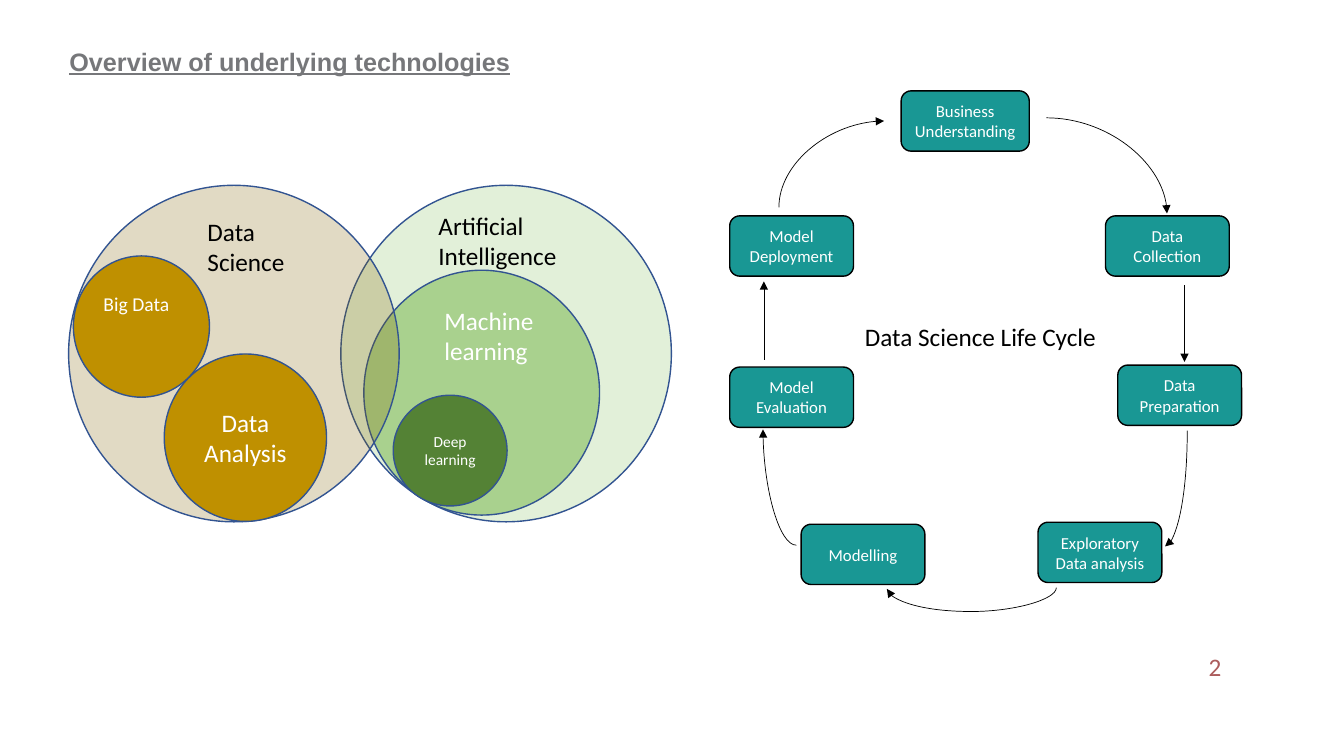
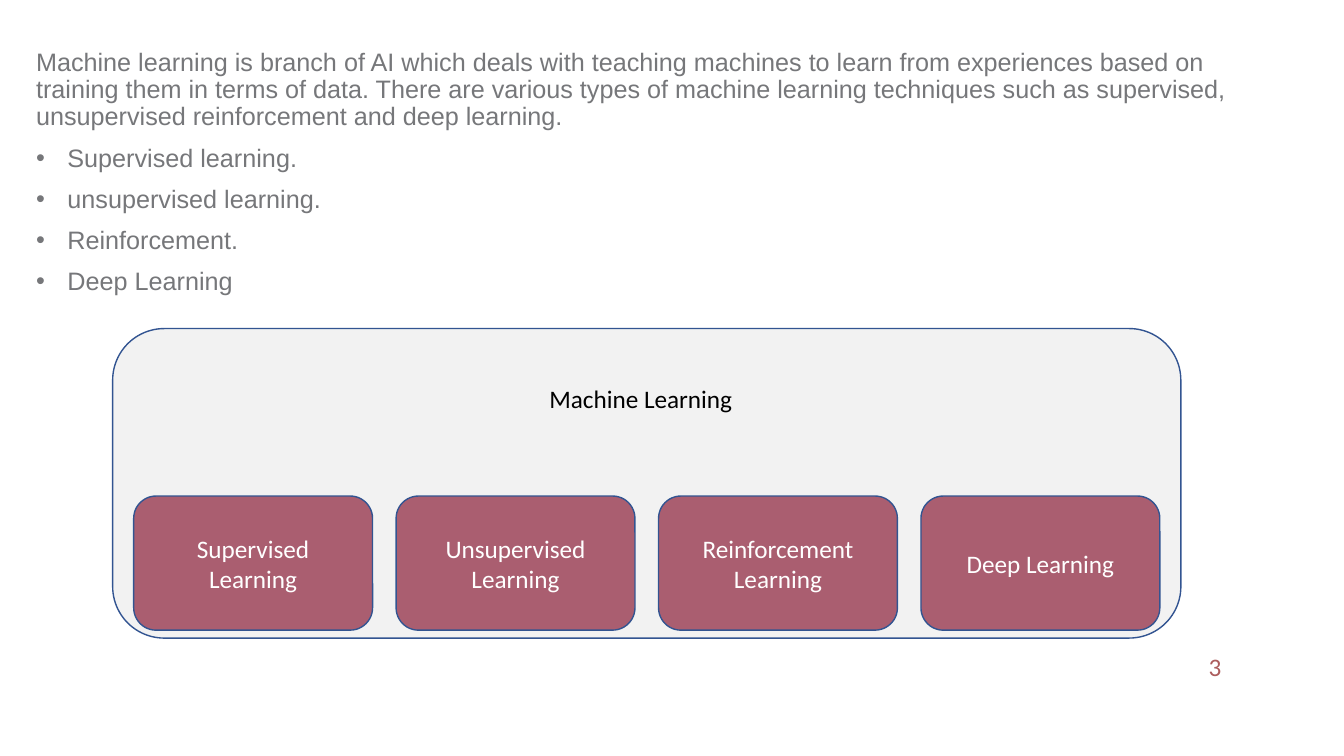
from lxml import etree
from pptx import Presentation
from pptx.dml.color import RGBColor
from pptx.enum.shapes import MSO_CONNECTOR, MSO_SHAPE
from pptx.enum.text import MSO_ANCHOR, PP_ALIGN
from pptx.oxml.ns import qn
from pptx.util import Cm, Pt

ELLIPSE, ROUNDED = MSO_SHAPE.OVAL, MSO_SHAPE.ROUNDED_RECTANGLE
STRAIGHT, CURVE = MSO_CONNECTOR.STRAIGHT, MSO_CONNECTOR.CURVE
LEFT, CENTER = PP_ALIGN.LEFT, PP_ALIGN.CENTER
MIDDLE = MSO_ANCHOR.MIDDLE

COLORS = {
    "grey": "76777A", "black": "000000", "white": "FFFFFF", "outline": "325491",
    "pale_green": "E2F0D9", "green": "A9D18E", "dark_green": "548235",
    "olive": "806000", "gold": "BF9000", "teal": "199794",
    "panel": "F2F2F2", "rose": "AA5E70", "page_number": "AC5C5C",
}
BODY_FONT, LABEL_FONT = "Arial", "Calibri"
BODY_TOP = 1.25


def rgb(name):
    return RGBColor.from_string(COLORS[name])


def format_paragraph(paragraph, size, color, font=LABEL_FONT, align=LEFT):
    paragraph.alignment = align
    for run in paragraph.runs:
        run.font.size = Pt(size)
        run.font.name = font
        run.font.color.rgb = rgb(color)


def add_box(slide, kind, box, fill, line="outline", text="", size=18, opacity=None):
    """Add a filled, outlined shape with centred white text."""
    shape = slide.shapes.add_shape(kind, *map(Cm, box))
    shape.shadow.inherit = False
    shape.fill.solid()
    shape.fill.fore_color.rgb = rgb(fill)
    if opacity:
        color = shape.fill._xPr.find(f"{qn('a:solidFill')}/{qn('a:srgbClr')}")
        etree.SubElement(color, qn("a:alpha"), val=str(opacity * 1000))
    shape.line.color.rgb = rgb(line)
    shape.line.width = Pt(1)
    if text:
        text_frame = shape.text_frame
        text_frame.text = text
        text_frame.word_wrap = True
        text_frame.vertical_anchor = MIDDLE
        format_paragraph(text_frame.paragraphs[0], size, "white", align=CENTER)
    return shape


def add_label(slide, text, box, color="black", wrap=True):
    text_frame = slide.shapes.add_textbox(*map(Cm, box)).text_frame
    text_frame.word_wrap = wrap
    text_frame.text = text
    format_paragraph(text_frame.paragraphs[0], 18, color, align=LEFT if wrap else CENTER)


def add_body(slide, left, width, height, lines):
    """Add the grey body text at the top of a slide and return its paragraphs."""
    text_frame = slide.shapes.add_textbox(
        Cm(left), Cm(BODY_TOP), Cm(width), Cm(height)).text_frame
    text_frame.word_wrap = True
    text_frame.margin_left = text_frame.margin_right = 0
    text_frame.margin_top = text_frame.margin_bottom = 0
    text_frame.text = "\n".join(lines)
    for index, paragraph in enumerate(text_frame.paragraphs):
        format_paragraph(paragraph, 18, "grey", BODY_FONT)
        paragraph.line_spacing = 0.9
        paragraph.space_before = Pt(10 if index else 0)
    return text_frame.paragraphs


def add_bullet(paragraph):
    properties = paragraph._p.get_or_add_pPr()
    indent = Cm(0.79)
    properties.set("marL", str(indent))
    properties.set("indent", str(-indent))
    etree.SubElement(properties, qn("a:buFont"), typeface=BODY_FONT)
    etree.SubElement(properties, qn("a:buChar"), char="•")


def add_arrow(slide, start, end, preset=None, turned=False, bend=None):
    """Add an arrow; a turned curve leaves its start vertically."""
    (x1, y1), (x2, y2) = start, end
    if turned:
        middle_x, middle_y = (x1 + x2) / 2, (y1 + y2) / 2
        half_width, half_height = (y2 - y1) / 2, (x1 - x2) / 2
        x1, x2 = middle_x - half_width, middle_x + half_width
        y1, y2 = middle_y - half_height, middle_y + half_height
    connector = slide.shapes.add_connector(
        CURVE if preset else STRAIGHT, Cm(x1), Cm(y1), Cm(x2), Cm(y2))
    connector.line.color.rgb = rgb("black")
    connector.line.width = Pt(0.5)
    properties = connector._element.spPr
    if turned:
        properties.find(qn("a:xfrm")).set("rot", str(90 * 60000))
    if preset:
        geometry = properties.find(qn("a:prstGeom"))
        geometry.set("prst", preset)
        if bend:
            adjustments = geometry.find(qn("a:avLst"))
            if adjustments is None:
                adjustments = etree.SubElement(geometry, qn("a:avLst"))
            etree.SubElement(adjustments, qn("a:gd"), name="adj1",
                             fmla=f"val {bend * 100000}")
    etree.SubElement(properties.find(qn("a:ln")), qn("a:tailEnd"), type="triangle")
    etree.SubElement(properties, qn("a:effectLst"))


def add_slide(presentation, number):
    """Add a blank slide with its page number."""
    slide = presentation.slides.add_slide(presentation.slide_layouts[6])
    add_label(slide, str(number), (30.2, 16.28, 0.84, 1.02), "page_number", wrap=False)
    return slide


def draw_venn(slide, left, top):
    # Circles, from back to front
    circles = [
        (6.86, 0, 8.33, 8.48, "pale_green", "", 18, None),
        (7.44, 2.14, 5.94, 6.17, "green", "", 18, None),
        (8.18, 5.29, 2.87, 2.79, "dark_green", "Deep learning", 11, None),
        (0, 0, 8.33, 8.48, "olive", "", 18, 23),
        (0.12, 1.78, 3.43, 3.56, "gold", "Big Data", 14, None),
        (2.41, 4.25, 4.09, 4.22, "gold", "Data Analysis", 18, None),
    ]
    for x, y, width, height, fill, text, size, opacity in circles:
        circle = add_box(slide, ELLIPSE, (left + x, top + y, width, height), fill,
                         text=text, size=size, opacity=opacity)
        if text == "Big Data":
            circle.text_frame.margin_left = 0
            circle.text_frame.margin_bottom = Cm(1.3)

    # Names of the large circles
    labels = [
        ("Artificial Intelligence", 9.07, 0.51, 4.75, "black"),
        ("Machine learning", 9.22, 2.9, 3.68, "white"),
        ("Data Science", 3.25, 0.66, 2.79, "black"),
    ]
    for text, x, y, width, color in labels:
        add_label(slide, text, (left + x, top + y, width, 1.8), color)


def draw_life_cycle(slide, left, top):
    # Steps, clockwise
    steps = [
        ("Business Understanding", 4.32, 0, 3.23),
        ("Data Collection", 9.47, 3.15, 3.12),
        ("Data Preparation", 9.78, 6.91, 3.12),
        ("Exploratory Data analysis", 7.77, 10.87, 3.12),
        ("Modelling", 1.8, 10.92, 3.12),
        ("Model Evaluation", 0, 6.96, 3.12),
        ("Model Deployment", 0, 3.15, 3.12),
    ]
    for text, x, y, width in steps:
        add_box(slide, ROUNDED, (left + x, top + y, width, 1.52), "teal", "black", text, 12)

    # Arrows, clockwise: start, end, curve, turned, bend
    quarter, u_turn = "curvedConnector2", "curvedConnector3"
    arrows = [
        ((7.98, 0.68), (11.02, 3.09), quarter, False, None),
        ((11.46, 4.9), (11.46, 6.83), None, False, None),
        ((11.53, 8.56), (10.97, 11.48), quarter, True, None),
        ((8.23, 12.52), (3.96, 12.55), u_turn, True, 20),
        ((1.68, 11.45), (0.84, 8.53), quarter, False, None),
        ((0.86, 6.78), (0.86, 4.8), None, False, None),
        ((1.24, 2.94), (3.89, 0.76), quarter, True, None),
    ]
    for (x1, y1), (x2, y2), preset, turned, bend in arrows:
        add_arrow(slide, (left + x1, top + y1), (left + x2, top + y2),
                  preset, turned, bend)

    add_label(slide, "Data Science Life Cycle",
              (left + 3.12, top + 5.69, 6.4, 1.02), wrap=False)


def draw_learning_types(slide, left, top, width, height):
    # Panel and heading
    add_box(slide, ROUNDED, (left, top, width, height), "panel")
    heading_width = 5.16
    add_label(slide, "Machine Learning",
              (left + (width - heading_width) / 2 - 0.15, top + 1.25, heading_width, 1.02),
              wrap=False)

    # Evenly spaced cards along the bottom
    names = ["Supervised Learning", "Unsupervised Learning",
             "Reinforcement Learning", "Deep Learning"]
    card_width, card_height, inset = 6.02, 3.38, 0.53
    step = (width - 2 * inset - card_width) / (len(names) - 1)
    card_top = top + height - card_height - 0.2
    for index, name in enumerate(names):
        add_box(slide, ROUNDED,
                (left + inset + index * step, card_top, card_width, card_height),
                "rose", text=name)


def build_overview(presentation):
    slide = add_slide(presentation, 2)
    title = add_body(slide, 1.75, 14.78, 2.74, ["Overview of underlying technologies"])[0]
    title.runs[0].font.bold = True
    title.runs[0].font.underline = True
    draw_venn(slide, 1.73, 4.67)
    draw_life_cycle(slide, 18.39, 2.29)


def build_machine_learning(presentation):
    slide = add_slide(presentation, 3)
    paragraphs = add_body(slide, 0.91, 31.39, 6.27, [
        "Machine learning is branch of AI which deals with teaching machines to learn "
        "from experiences based on training them in terms of data. There are various "
        "types of machine learning techniques such as supervised, unsupervised "
        "reinforcement and deep learning.",
        "Supervised learning.",
        "unsupervised learning.",
        "Reinforcement.",
        "Deep Learning",
    ])
    for paragraph in paragraphs[1:]:
        add_bullet(paragraph)
    draw_learning_types(slide, 2.84, 8.28, 26.92, 7.8)


def main():
    presentation = Presentation()
    presentation.slide_width = Cm(33.87)
    presentation.slide_height = Cm(19.05)
    build_overview(presentation)
    build_machine_learning(presentation)
    presentation.save("out.pptx")


if __name__ == "__main__":
    main()
